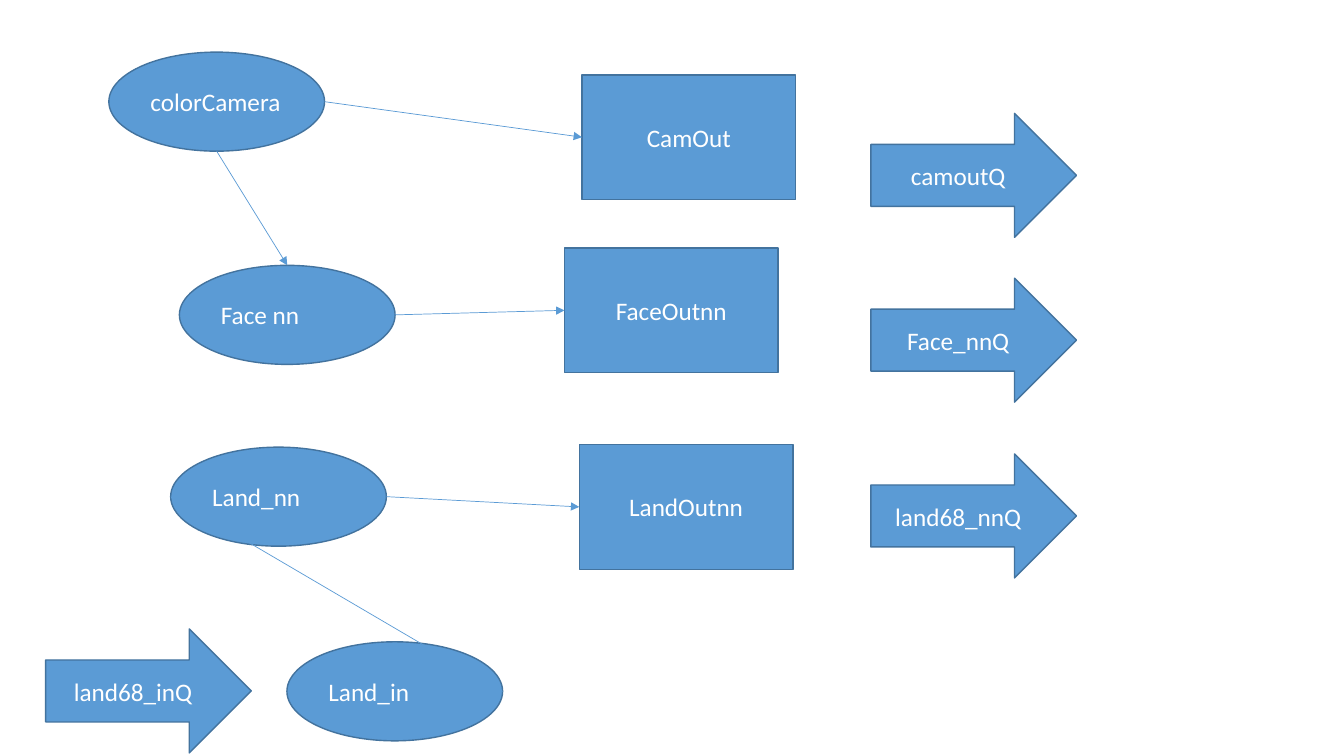
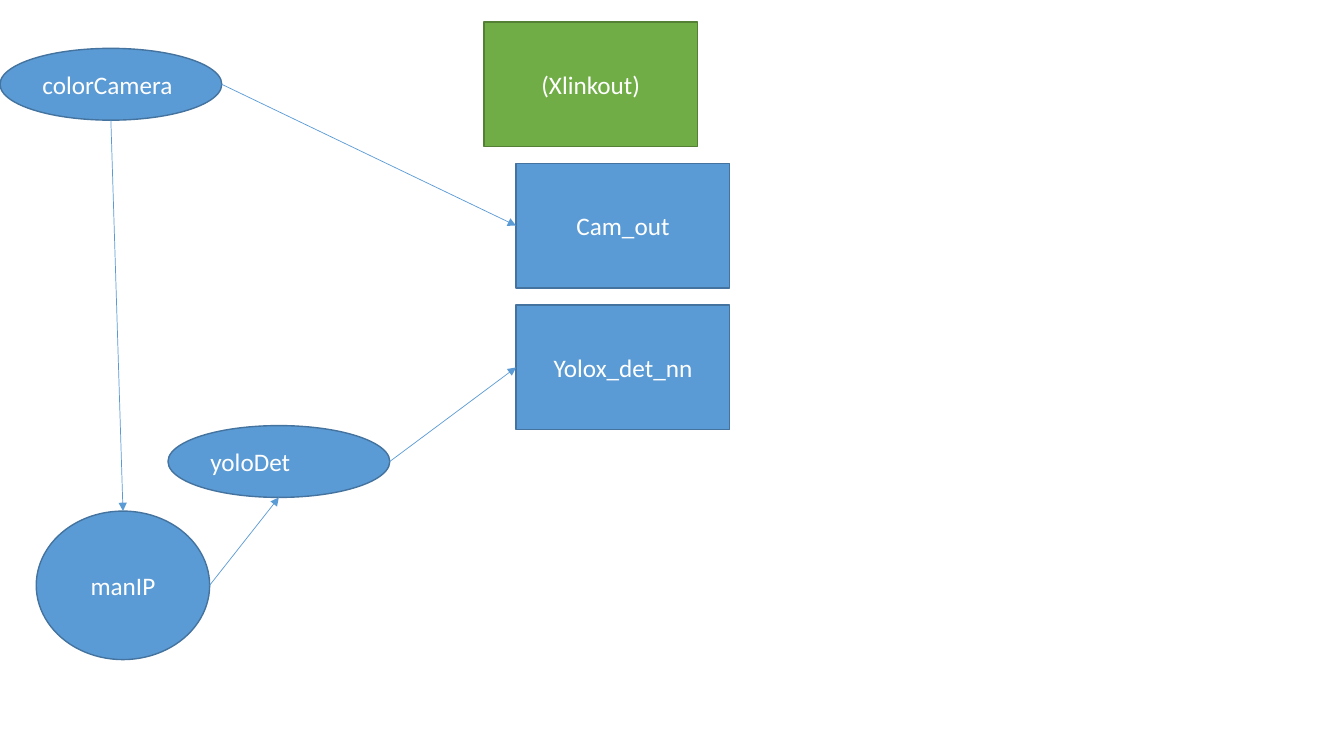
from lxml import etree
from pptx import Presentation
from pptx.dml.color import RGBColor
from pptx.enum import shapes, text
from pptx.oxml import ns
from pptx.util import Inches, Pt

KIND = shapes.MSO_SHAPE
ALIGN = text.PP_ALIGN
BLUE = ("5B9BD5", "43739E")
GREEN = ("70AD47", "538035")
FONT = {"name": "Calibri", "size": Pt(18), "bold": False}

OVAL = (KIND.OVAL, 16.05, 13.1, ALIGN.LEFT)
FLAT = (KIND.OVAL, 16.5, 9.5, ALIGN.LEFT)
ROUND = (KIND.OVAL, 12.9, 19.65, ALIGN.CENTER)
RECT = (KIND.RECTANGLE, 15.9, 16.5, ALIGN.CENTER)
ARROW = (KIND.RIGHT_ARROW, 15.3, 16.4, ALIGN.CENTER)

SIDES = {"top": (0.5, 0), "left": (0, 0.5), "bottom": (0.5, 1), "right": (1, 0.5)}
SITES = list(SIDES)


def paint(color, value):
    color.rgb = RGBColor.from_string(value)


def node(slide, box, label, style, col, row, tone=BLUE):
    left, top, width, height = box
    kind, wide, high, align = style
    shape = slide.shapes.add_shape(
        kind,
        int(left + width * col / 100), int(top + height * row / 100),
        int(width * wide / 100), int(height * high / 100))
    shape.shadow.inherit = False
    shape.fill.solid()
    paint(shape.fill.fore_color, tone[0])
    paint(shape.line.color, tone[1])
    shape.line.width = Pt(1)
    shape.text_frame.vertical_anchor = text.MSO_ANCHOR.MIDDLE
    para = shape.text_frame.paragraphs[0]
    para.alignment = align
    run = para.add_run()
    run.text = label
    for name, value in FONT.items():
        setattr(run.font, name, value)
    paint(run.font.color, "FFFFFF")
    return shape


def point(shape, side):
    across, down = SIDES[side]
    return (int(shape.left + shape.width * across),
            int(shape.top + shape.height * down))


def link(slide, start, out, end, into):
    line = slide.shapes.add_connector(
        shapes.MSO_CONNECTOR.STRAIGHT, *point(start, out), *point(end, into))
    if start.auto_shape_type == KIND.RECTANGLE:
        line.begin_connect(start, SITES.index(out))
    if end.auto_shape_type == KIND.RECTANGLE:
        line.end_connect(end, SITES.index(into))
    paint(line.line.color, BLUE[0])
    line.line.width = Pt(0.5)
    stroke = line.line._get_or_add_ln()
    etree.SubElement(stroke, ns.qn("a:tailEnd"), type="triangle")
    etree.SubElement(line._element.spPr, ns.qn("a:effectLst"))


def graph(slide, box, nodes, links):
    made = {item[0]: node(slide, box, *item) for item in nodes}
    for start, out, end, into in links:
        link(slide, made[start], out, made[end], into)


FACE = (
    [("colorCamera", OVAL, 8.1, 6.9),
     ("Face nn", OVAL, 13.35, 35.1),
     ("Land_nn", OVAL, 12.7, 59.15),
     ("Land_in", OVAL, 21.35, 84.9),
     ("CamOut", RECT, 43.3, 9.9),
     ("FaceOutnn", RECT, 42, 32.8),
     ("LandOutnn", RECT, 43.1, 58.8),
     ("camoutQ", ARROW, 64.8, 15),
     ("Face_nnQ", ARROW, 64.8, 36.8),
     ("land68_nnQ", ARROW, 64.8, 60.05),
     ("land68_inQ", ARROW, 3.4, 83.2)],
    [("colorCamera", "bottom", "Face nn", "top"),
     ("colorCamera", "right", "CamOut", "left"),
     ("Face nn", "right", "FaceOutnn", "left"),
     ("Land_nn", "right", "LandOutnn", "left"),
     ("Land_in", "right", "Land_nn", "left")],
)

YOLO = (
    [("colorCamera", FLAT, 0, 6.4),
     ("(Xlinkout)", RECT, 36, 2.9, GREEN),
     ("Cam_out", RECT, 38.4, 21.6),
     ("Yolox_det_nn", RECT, 38.4, 40.35),
     ("yoloDet", FLAT, 12.5, 56.3),
     ("manIP", ROUND, 2.7, 67.6)],
    [("colorCamera", "bottom", "manIP", "top"),
     ("manIP", "right", "yoloDet", "bottom"),
     ("yoloDet", "right", "Yolox_det_nn", "left"),
     ("colorCamera", "right", "Cam_out", "left")],
)


def main():
    deck = Presentation()
    deck.slide_width, deck.slide_height = Inches(13.33), Inches(7.5)
    box = (0, 0, deck.slide_width, deck.slide_height)
    for nodes, links in (FACE, YOLO):
        graph(deck.slides.add_slide(deck.slide_layouts[6]), box, nodes, links)
    deck.save("out.pptx")


if __name__ == "__main__":
    main()
